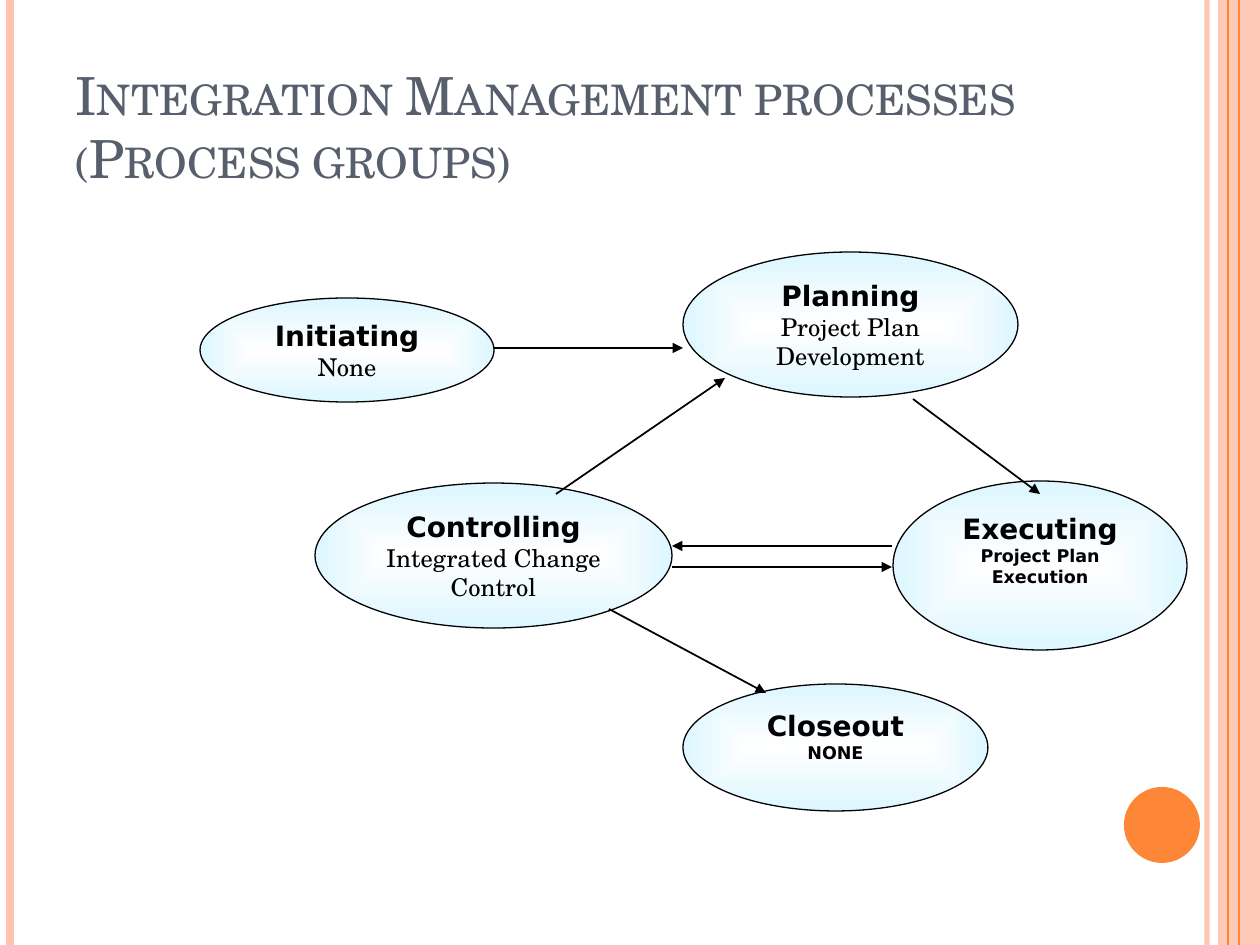
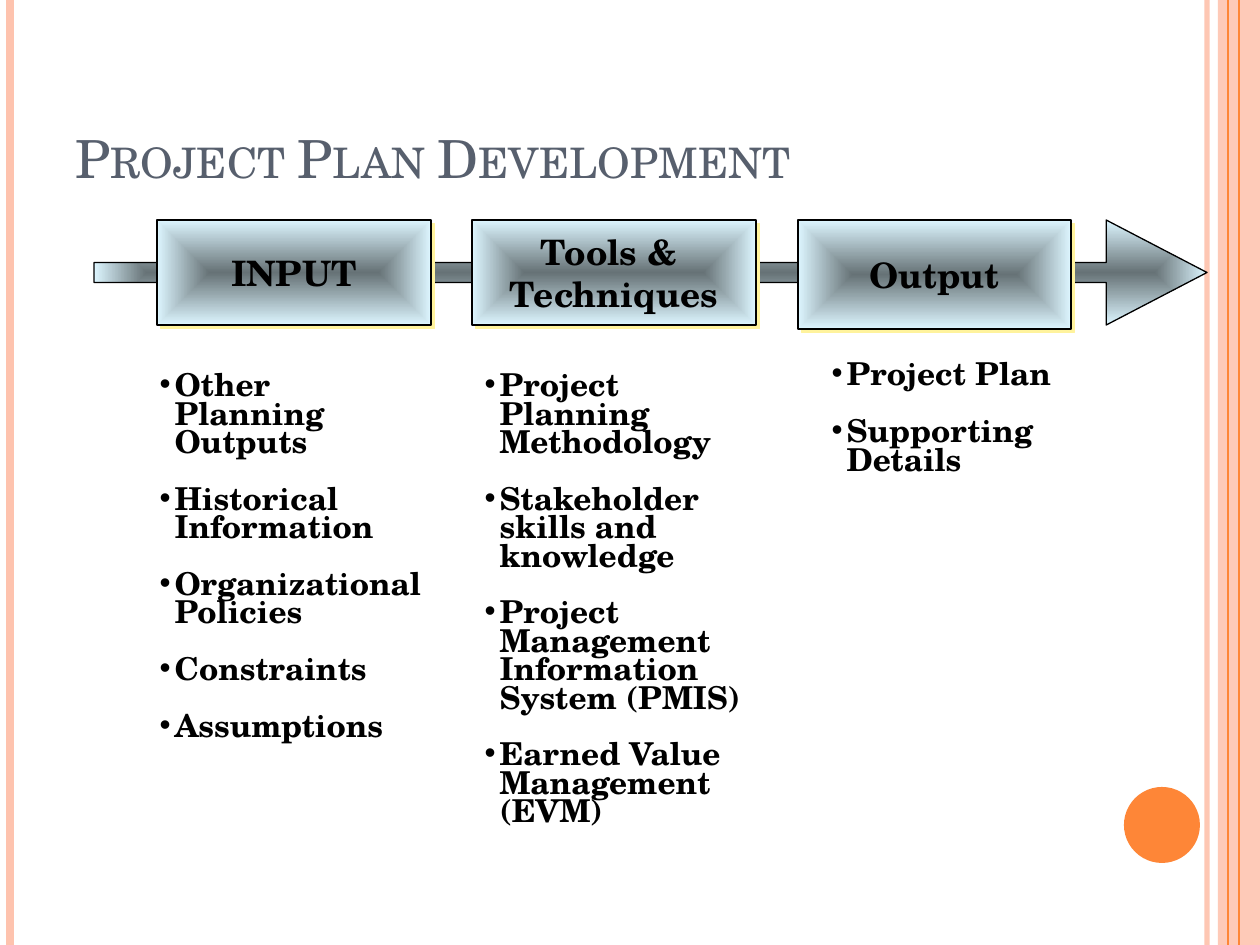
from pptx import Presentation
from pptx import util as u
from pptx.dml.color import RGBColor
from pptx.enum import shapes, text
from pptx.oxml import parse_xml
from pptx.oxml.ns import nsdecls, qn

SCALE = 914400 / 126
SERIF, SANS = "TeX Gyre Schola", "DejaVu Sans"
THEME = {
    "colours": {
        "ink": "000000", "peach": "FEC3AE", "orange": "FE8637", "slate": "575F6D",
        "ice": "DDF6FF", "white": "FFFFFF", "steel": "667276", "glow": "FFF39D",
    },
    "title": {"name": SERIF, "size": u.Pt(30), "bold": False, "colour": "slate"},
    "group": {"name": SANS, "size": u.Pt(16), "bold": True, "colour": "ink"},
    "process": {"name": SERIF, "size": u.Pt(14), "bold": False, "colour": "ink"},
    "small": {"name": SANS, "size": u.Pt(10), "bold": True, "colour": "ink"},
    "stage": {"name": SERIF, "size": u.Pt(20), "bold": True, "colour": "ink"},
    "item": {"name": SERIF, "size": u.Pt(18), "bold": True, "colour": "ink"},
}
COLOURS = {name: RGBColor.from_string(code) for name, code in THEME["colours"].items()}
OVAL, BOX, ARROW = (shapes.MSO_SHAPE.OVAL, shapes.MSO_SHAPE.RECTANGLE,
                    shapes.MSO_SHAPE.RIGHT_ARROW)


def write(paragraph, words, style):
    paragraph.text = words
    for run in paragraph.runs:
        for key, value in THEME[style].items():
            if key == "colour":
                run.font.color.rgb = COLOURS[value]
            else:
                setattr(run.font, key, value)


def draw_line(slide, ends, colour, weight):
    line = slide.shapes.add_connector(
        shapes.MSO_CONNECTOR.STRAIGHT, *[int(n * SCALE) for n in ends])
    line.line.color.rgb = COLOURS[colour]
    line.line.width = u.Pt(weight)
    line._element.spPr.append(parse_xml(f"<a:effectLst {nsdecls('a')}/>"))
    return line


prs = Presentation()
prs.slide_width, prs.slide_height = int(1260 * SCALE), int(945 * SCALE)
groups_slide = prs.slides.add_slide(prs.slide_layouts[5])
plan_slide = prs.slides.add_slide(prs.slide_layouts[4])

bands = []
for x, colour, weight, alpha in [
    (1207, "peach", 3, 93),
    (10, "peach", 4.5, 100),
    (1239, "orange", 0.75, 100),
    (1228, "orange", 1.5, 100),
]:
    band = draw_line(groups_slide, (x, 0, x, 945), colour, weight)
    bands.append((band, alpha))
for kind, frame, colour, alpha in [
    (BOX, (1218, 0, 42, 945), "peach", 87),
    (OVAL, (1124, 787, 76, 76), "orange", 100),
]:
    band = groups_slide.shapes.add_shape(kind, *[int(n * SCALE) for n in frame])
    band.shadow.inherit = False
    band.fill.solid()
    band.fill.fore_color.rgb = COLOURS[colour]
    band.line.fill.background()
    bands.insert(0, (band, alpha))
master_tree = prs.slide_master.shapes._spTree
for number, (band, alpha) in enumerate(bands):
    tint = next(band._element.spPr.iter(qn("a:srgbClr")))
    if alpha < 100:
        tint.append(parse_xml(f'<a:alpha {nsdecls("a")} val="{alpha * 1000}"/>'))
    next(band._element.iter(qn("p:cNvPr"))).set("id", str(20 + number))
    master_tree.insert(2 + number, band._element)

for slide, heading in [
    (groups_slide, "Integration Management processes\v(Process groups)"),
    (plan_slide, "Project Plan Development"),
]:
    title = slide.shapes.title
    for side, length in zip(("left", "top", "width", "height"), (63, 38, 1029, 157)):
        setattr(title, side, int(length * SCALE))
    title.text_frame.vertical_anchor = text.MSO_ANCHOR.BOTTOM
    title.text_frame.auto_size = text.MSO_AUTO_SIZE.NONE
    write(title.text_frame.paragraphs[0], heading, "title")
    title.text_frame.paragraphs[0].alignment = text.PP_ALIGN.LEFT
    for run in title.text_frame.paragraphs[0].runs:
        run._r.get_or_add_rPr().set("cap", "small")

for slide, kind, frame, core, foot, lines in [
    (groups_slide, OVAL, (200, 298, 294, 104), "white", 6,
     [("Initiating", "group"), ("None", "process")]),
    (groups_slide, OVAL, (683, 252, 335, 145), "white", 6,
     [("Planning", "group"), ("Project Plan Development", "process")]),
    (groups_slide, OVAL, (893, 481, 294, 169), "white", 39,
     [("Executing", "group"), ("Project Plan Execution", "small")]),
    (groups_slide, OVAL, (315, 483, 357, 145), "white", 6,
     [("Controlling", "group"), ("Integrated Change Control", "process")]),
    (groups_slide, OVAL, (683, 684, 305, 127), "white", 30,
     [("Closeout", "group"), ("NONE", "small")]),
    (plan_slide, ARROW, (94, 220, 1113, 105), "steel", 6, []),
    (plan_slide, BOX, (157, 220, 274, 105), "steel", 6, [("INPUT", "stage")]),
    (plan_slide, BOX, (472, 220, 284, 105), "steel", 6,
     [("Tools & ", "stage"), ("Techniques", "stage")]),
    (plan_slide, BOX, (798, 220, 273, 109), "steel", 6, [("Output", "stage")]),
]:
    node = slide.shapes.add_shape(kind, *[int(n * SCALE) for n in frame])
    node.shadow.inherit = False
    node.fill.gradient()
    for stop, colour in zip(node.fill.gradient_stops, (core, "ice")):
        stop.color.rgb = COLOURS[colour]
    gradient = node._element.spPr.find(qn("a:gradFill"))
    gradient.remove(gradient.find(qn("a:lin")))
    spread = "rect" if kind == ARROW else "shape"
    gradient.append(parse_xml(
        f'<a:path {nsdecls("a")} path="{spread}">'
        '<a:fillToRect l="50000" t="50000" r="50000" b="50000"/></a:path>'))
    node.line.color.rgb = COLOURS["ink"]
    node.line.width = u.Pt(0.75)
    if kind == ARROW:
        node.adjustments[0], node.adjustments[1] = 0.19, 0.96
    if kind == BOX:
        node._element.spPr.find(qn("a:effectLst")).append(parse_xml(
            f'<a:outerShdw {nsdecls("a")} blurRad="0" dist="{u.Pt(2.8)}" '
            'dir="2700000" algn="ctr" rotWithShape="0">'
            f'<a:srgbClr val="{THEME["colours"]["glow"]}"/></a:outerShdw>'))
    label = node.text_frame
    for key, value in {
        "word_wrap": kind != BOX,
        "vertical_anchor": text.MSO_ANCHOR.MIDDLE,
        "margin_bottom": int(foot * SCALE),
    }.items():
        setattr(label, key, value)
    for number, (words, style) in enumerate(lines):
        paragraph = label.add_paragraph() if number else label.paragraphs[0]
        write(paragraph, words, style)
        paragraph.alignment = text.PP_ALIGN.CENTER

for ends in [
    (494, 348, 683, 348),
    (913, 399, 1040, 494),
    (892, 546, 672, 546),
    (672, 567, 892, 567),
    (556, 494, 725, 378),
    (609, 609, 766, 693),
]:
    flow = draw_line(groups_slide, ends, "ink", 1)
    flow.line._get_or_add_ln().append(
        parse_xml(f'<a:tailEnd {nsdecls("a")} type="triangle"/>'))

columns = [
    ((147, 368, 294, 354), ["Other Planning Outputs", "Historical Information",
                            "Organizational Policies", "Constraints", "Assumptions"]),
    ((472, 368, 315, 411), ["Project Planning Methodology",
                            "Stakeholder skills and knowledge",
                            "Project Management Information System (PMIS)",
                            "Earned Value Management (EVM)"]),
    ((819, 357, 305, 126), ["Project Plan", "Supporting Details"]),
]
bodies = [holder for holder in plan_slide.placeholders if holder.placeholder_format.idx]
for body, (frame, items) in zip(bodies, columns):
    for side, length in zip(("left", "top", "width", "height"), frame):
        setattr(body, side, int(length * SCALE))
    body.text_frame.vertical_anchor = text.MSO_ANCHOR.TOP
    body.text_frame.auto_size = text.MSO_AUTO_SIZE.NONE
    for number, item in enumerate(items):
        paragraph = body.text_frame.add_paragraph() if number else body.text_frame.paragraphs[0]
        write(paragraph, item, "item")
        for key, value in {
            "alignment": text.PP_ALIGN.LEFT, "line_spacing": 0.75,
            "space_before": u.Pt(0), "space_after": u.Pt(16.2),
        }.items():
            setattr(paragraph, key, value)
        bullet = paragraph._p.get_or_add_pPr()
        bullet.set("marL", str(int(15 * SCALE)))
        bullet.set("indent", str(int(-15 * SCALE)))
        bullet.append(parse_xml(f'<a:buChar {nsdecls("a")} char="•"/>'))
for spare in bodies[len(columns):]:
    spare._element.getparent().remove(spare._element)

prs.save("out.pptx")
